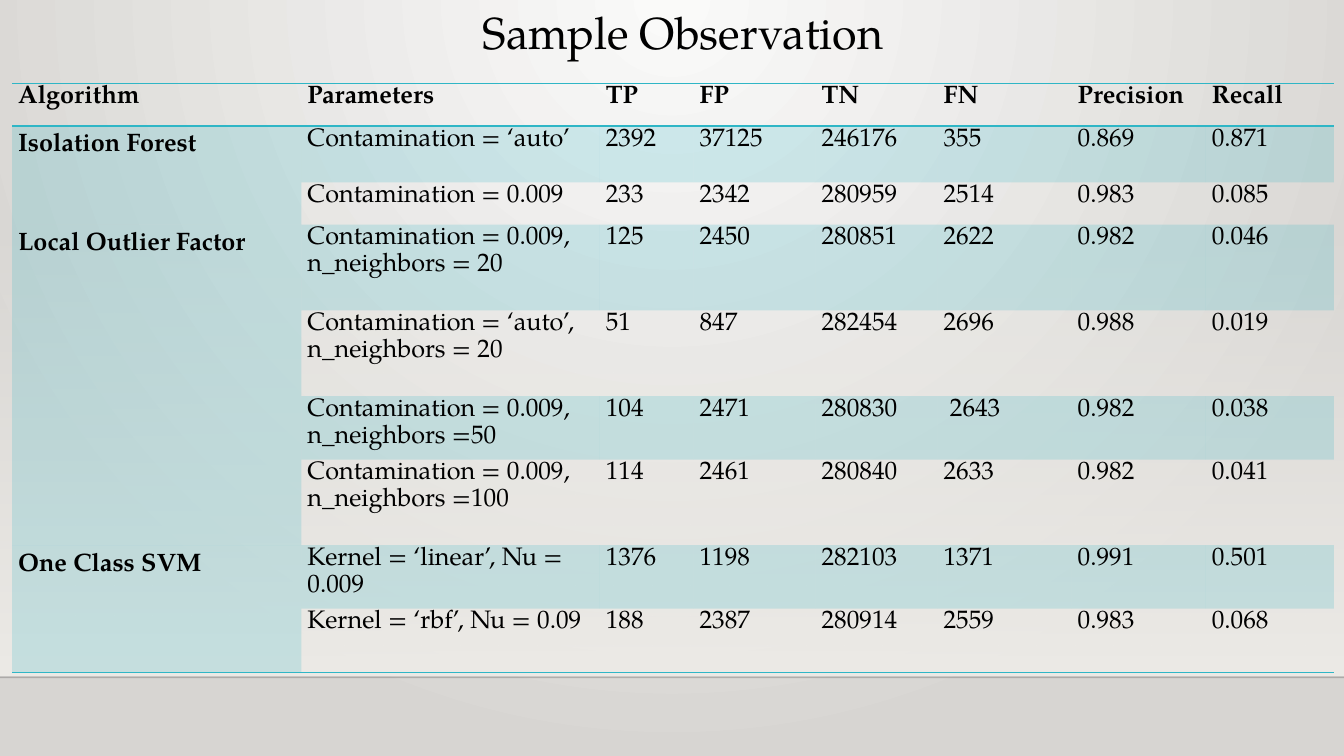
"""Build the slide comparing anomaly detection algorithms in one results table."""
import dataclasses

import lxml.etree
import pptx
import pptx.dml.color
import pptx.enum.shapes
import pptx.enum.text
import pptx.oxml
import pptx.oxml.ns
import pptx.util

TITLE = "Sample Observation"
HEADINGS = ["Algorithm", "Parameters", "TP", "FP", "TN", "FN", "Precision", "Recall"]
RESULTS = {
    "Isolation Forest": [
        ("Contamination = ‘auto’", "2392", "37125", "246176", "355", "0.869", "0.871"),
        ("Contamination = 0.009", "233", "2342", "280959", "2514", "0.983", "0.085"),
    ],
    "Local Outlier Factor": [
        ("Contamination = 0.009, n_neighbors = 20", "125", "2450", "280851", "2622", "0.982", "0.046"),
        ("Contamination = ‘auto’, n_neighbors = 20", "51", "847", "282454", "2696", "0.988", "0.019"),
        ("Contamination = 0.009, n_neighbors =50", "104", "2471", "280830", " 2643", "0.982", "0.038"),
        ("Contamination = 0.009, n_neighbors =100", "114", "2461", "280840", "2633", "0.982", "0.041"),
    ],
    "One Class SVM": [
        ("Kernel = ‘linear’, Nu = 0.009", "1376", "1198", "282103", "1371", "0.991", "0.501"),
        ("Kernel = ‘rbf’, Nu = 0.09", "188", "2387", "280914", "2559", "0.983", "0.068"),
    ],
}
COLUMNS = [2.87, 2.96, 0.93, 1.21, 1.21, 1.33, 1.33, 1.27]
ROWS = [0.42, 0.56, 0.42, 0.85, 0.85, 0.63, 0.85, 0.63, 0.63]
WIDTH, HEIGHT = 13.33, 7.5
TABLE_LEFT, TABLE_TOP = 0.12, 0.83
FLOOR_TOP, FLOOR_HEIGHT, FLOOR_LINE = 2.2, 4.5, 6.72
TITLE_LEFT, TITLE_WIDTH, TITLE_HEIGHT = 0.64, 12.27, 0.64
CELL_INSET = 0.06
PLAIN_STYLE = "{2D5ABB26-0587-4C30-8999-92F81FD0307C}"


@dataclasses.dataclass(frozen=True)
class Theme:
    font: str = "TeX Gyre Pagella"
    ink: str = "000000"
    accent: str = "2FB6C6"
    glow: str = "FAFAF9"
    wall: str = "D7D5D2"
    floor: str = "EDEBE7"
    edge: str = "000001"
    title_size: int = 32
    cell_size: int = 18
    tint: int = 20


THEME = Theme()
inches = pptx.util.Inches
qualify = pptx.oxml.ns.qn
rgb = pptx.dml.color.RGBColor.from_string


def set_opacity(element, percent):
    for color in element.iter(qualify("a:srgbClr")):
        lxml.etree.SubElement(color, qualify("a:alpha"), val=str(percent * 1000))


def set_gradient(fill, owner, stops, direction):
    fill.gradient()
    marks = "".join(
        f'<a:gs pos="{place * 1000}"><a:srgbClr val="{color}"><a:alpha val="{opacity * 1000}"/></a:srgbClr></a:gs>'
        for place, color, opacity in stops)
    gradient = pptx.oxml.parse_xml(
        f'<a:gradFill {pptx.oxml.ns.nsdecls("a")} rotWithShape="1"><a:gsLst>{marks}</a:gsLst>{direction}</a:gradFill>')
    current = next(owner.iter(qualify("a:gradFill")))
    current.getparent().replace(current, gradient)


def style_text(para, size, bold=False):
    for span in para.runs:
        span.font.name = THEME.font
        span.font.size = pptx.util.Pt(size)
        span.font.bold = bold
        span.font.color.rgb = rgb(THEME.ink)


def draw_backdrop(page):
    set_gradient(page.background.fill, page.element,
                 [(0, THEME.glow, 100), (100, THEME.wall, 100)],
                 '<a:path path="circle"><a:fillToRect l="43000" t="0" r="43000" b="100000"/></a:path>')
    floor = page.shapes.add_shape(pptx.enum.shapes.MSO_SHAPE.RECTANGLE,
                                  0, inches(FLOOR_TOP), inches(WIDTH), inches(FLOOR_HEIGHT))
    floor.shadow.inherit = False
    floor.line.fill.background()
    set_gradient(floor.fill, floor.element,
                 [(0, THEME.floor, 0), (100, THEME.floor, 100)], '<a:lin ang="5400000" scaled="0"/>')
    edge = page.shapes.add_connector(pptx.enum.shapes.MSO_CONNECTOR.STRAIGHT,
                                     0, inches(FLOOR_LINE), inches(WIDTH), inches(FLOOR_LINE))
    edge.line.color.rgb = rgb(THEME.edge)
    edge.line.width = pptx.util.Pt(1)
    properties = edge.element.spPr
    set_opacity(properties, THEME.tint)
    lxml.etree.SubElement(properties, qualify("a:effectLst"))


def add_border(cell, side):
    border = lxml.etree.SubElement(cell._tc.get_or_add_tcPr(), qualify(f"a:{side}"), w="12700")
    solid = lxml.etree.SubElement(border, qualify("a:solidFill"))
    lxml.etree.SubElement(solid, qualify("a:srgbClr"), val=THEME.accent)


def style_cell(cell, tinted, bold, borders, vertical_inset=0):
    for side in borders:
        add_border(cell, side)
    if tinted:
        cell.fill.solid()
        cell.fill.fore_color.rgb = rgb(THEME.accent)
        set_opacity(cell._tc.tcPr.find(qualify("a:solidFill")), THEME.tint)
    else:
        cell.fill.background()
    cell.margin_left = cell.margin_right = inches(CELL_INSET)
    cell.margin_top = cell.margin_bottom = inches(vertical_inset)
    para = cell.text_frame.paragraphs[0]
    para.line_spacing = 1.07
    para.space_after = pptx.util.Pt(8)
    style_text(para, THEME.cell_size, bold)


def draw_table(page):
    frame = page.shapes.add_table(len(ROWS), len(COLUMNS), inches(TABLE_LEFT), inches(TABLE_TOP),
                                  inches(sum(COLUMNS)), inches(sum(ROWS)))
    table = frame.table
    table.first_row = table.horz_banding = False
    table._tbl.tblPr.find(qualify("a:tableStyleId")).text = PLAIN_STYLE
    for column, width in zip(table.columns, COLUMNS):
        column.width = inches(width)
    for row, height in zip(table.rows, ROWS):
        row.height = inches(height)

    lines = [HEADINGS]
    for algorithm, trials in RESULTS.items():
        first = len(lines)
        lines += [(algorithm if trial is trials[0] else "", *trial) for trial in trials]
        table.cell(first, 0).merge(table.cell(len(lines) - 1, 0))
    for row, line in enumerate(lines):
        borders = {0: ["lnT", "lnB"], len(lines) - 1: ["lnB"]}.get(row, [])
        for column, words in enumerate(line):
            cell = table.cell(row, column)
            cell.text_frame.text = words
            label = row > 0 and column == 0
            closing = label and words == list(RESULTS)[-1]
            style_cell(cell, label or row % 2 == 1, row == 0 or label,
                       ["lnB"] if closing else borders, CELL_INSET if label else 0)


def draw_title(page):
    box = page.shapes.add_textbox(inches(TITLE_LEFT), 0, inches(TITLE_WIDTH), inches(TITLE_HEIGHT))
    box.text_frame.word_wrap = True
    box.text_frame.auto_size = pptx.enum.text.MSO_AUTO_SIZE.SHAPE_TO_FIT_TEXT
    box.text_frame.text = TITLE
    para = box.text_frame.paragraphs[0]
    para.alignment = pptx.enum.text.PP_ALIGN.CENTER
    style_text(para, THEME.title_size)


def main():
    deck = pptx.Presentation()
    deck.slide_width, deck.slide_height = inches(WIDTH), inches(HEIGHT)
    page = deck.slides.add_slide(deck.slide_layouts[6])
    draw_backdrop(page)
    draw_table(page)
    draw_title(page)
    deck.save("out.pptx")


if __name__ == "__main__":
    main()
